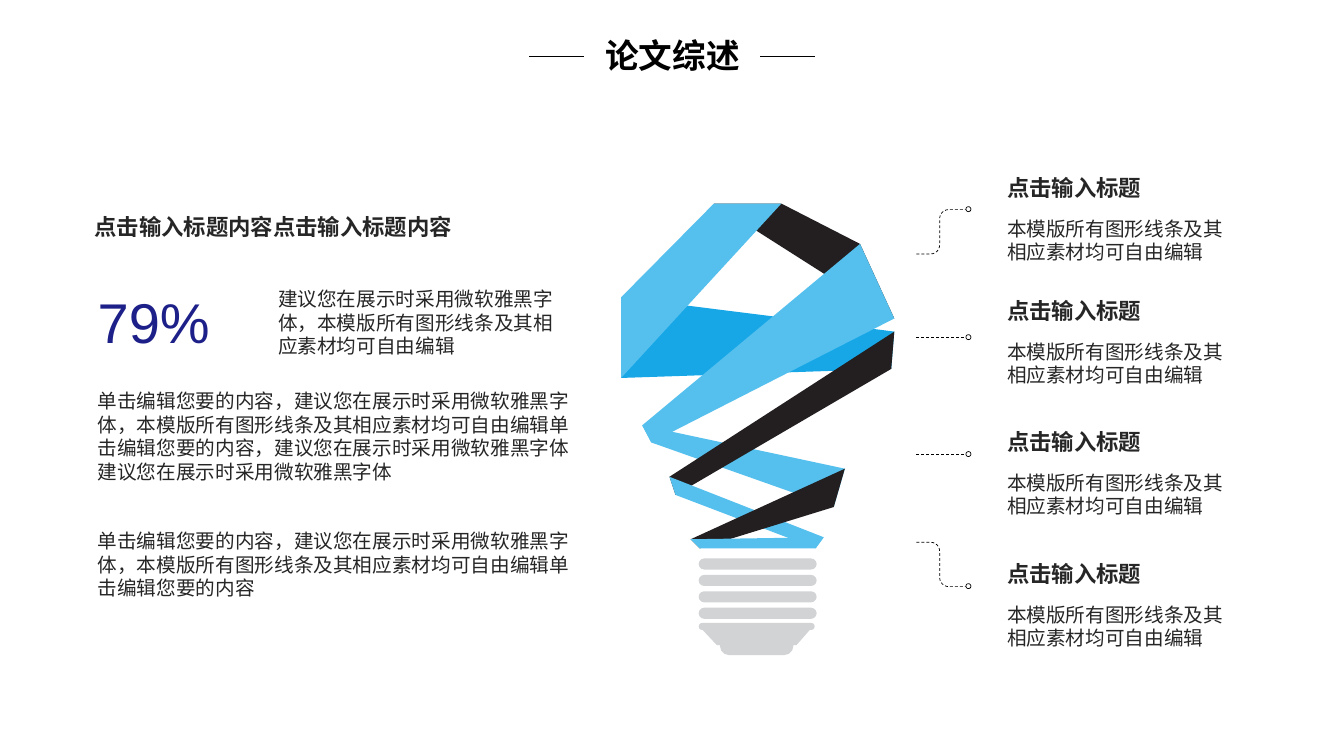
import math

import pptx
import pptx.dml.color
import pptx.enum.dml
import pptx.enum.shapes
import pptx.enum.text
import pptx.oxml.ns
import pptx.oxml.xmlchemy
import pptx.util

Inches = pptx.util.Inches
RGBColor = pptx.dml.color.RGBColor
SHAPE = pptx.enum.shapes.MSO_SHAPE
BLACK = RGBColor(0x00, 0x00, 0x00)
WHITE = RGBColor(0xFF, 0xFF, 0xFF)
TEXT = RGBColor(0x26, 0x26, 0x26)
NAVY = RGBColor(0x1D, 0x20, 0x88)
GREY = RGBColor(0xD1, 0xD3, 0xD4)
INK = RGBColor(0x23, 0x1F, 0x20)
SKY = RGBColor(0x55, 0xC0, 0xEE)
BLUE = RGBColor(0x17, 0xA7, 0xE7)

# Ribbon bands of the bulb, from back to front, in inches from its corner
BANDS = [
    (INK, [(0.92, 0), (2.71, 1.14), (2.37, 0.4), (1.59, 0)]),
    (BLUE, [(0, 0.93), (2.71, 1.27), (2.68, 1.64), (0, 1.73)]),
    (SKY, [(2.37, 0.4), (0.21, 2.2), (0.3, 2.37), (2.71, 1.14)]),
    (SKY, [(0.21, 2.2), (2.22, 2.63), (2.11, 3.01), (0.3, 2.37)]),
    (INK, [(2.71, 1.27), (0.48, 2.71), (0.54, 2.89), (2.68, 1.64)]),
    (SKY, [(0.48, 2.71), (2.01, 3.31), (1.93, 3.42), (0.54, 2.89)]),
    (SKY, [(0.92, 0), (0, 0.93), (0, 1.73), (1.59, 0)]),
    (INK, [(0.78, 3.42), (2.11, 3.01), (2.22, 2.63), (0.69, 3.33)]),
    (SKY, [(0.69, 3.33), (2.01, 3.31), (1.93, 3.42), (0.78, 3.42)]),
]
FUNNEL = [(0.8, 4.22), (1.88, 4.22), (1.74, 4.38), (0.95, 4.38)]

LONG = "单击编辑您要的内容，建议您在展示时采用微软雅黑字体，本模版所有图形线条及其相应素材均可自由编辑单击编辑您要的内容"
HINT = "建议您在展示时采用微软雅黑字体"
FREE = "本模版所有图形线条及其相应素材均可自由编辑"
HEAD = "点击输入标题"


def write(frame, text, size=14, color=TEXT, bold=False, font="Arial",
          align=pptx.enum.text.PP_ALIGN.LEFT, wrap=True):
    frame.word_wrap = wrap
    frame.vertical_anchor = pptx.enum.text.MSO_ANCHOR.TOP
    par = frame.paragraphs[0]
    par.alignment = align
    run = par.add_run()
    run.text = text
    run.font.size = pptx.util.Pt(size)
    run.font.bold = bold
    run.font.name = font
    run.font.color.rgb = color
    face = pptx.oxml.xmlchemy.OxmlElement("a:ea")
    face.set("typeface", font)
    run.font._element.find(pptx.oxml.ns.qn("a:latin")).addnext(face)


def label(slide, x, y, w, h, text, **style):
    box = slide.shapes.add_textbox(Inches(x), Inches(y), Inches(w), Inches(h))
    write(box.text_frame, text, **style)


def paint(shape, fill=None, line=None):
    shape.shadow.inherit = False
    if fill is None:
        shape.fill.background()
    else:
        shape.fill.solid()
        shape.fill.fore_color.rgb = fill
    if line is None:
        shape.line.fill.background()
    else:
        shape.line.color.rgb = line
        shape.line.width = pptx.util.Pt(0.5)
    return shape


def trace(slide, x, y, points, close=True):
    spots = [(Inches(x + px), Inches(y + py)) for px, py in points]
    path = slide.shapes.build_freeform(*spots[0], scale=1.0)
    path.add_line_segments(spots[1:], close=close)
    return path.convert_to_shape()


def preset(slide, kind, x, y, w, h):
    return slide.shapes.add_shape(
        kind, Inches(x), Inches(y), Inches(w), Inches(h))


def rule(slide, x, y, w, width):
    line = slide.shapes.add_connector(
        pptx.enum.shapes.MSO_CONNECTOR.STRAIGHT,
        Inches(x), Inches(y), Inches(x + w), Inches(y))
    line.line.color.rgb = BLACK
    line.line.width = pptx.util.Pt(width)
    line._element.spPr.append(
        pptx.oxml.xmlchemy.OxmlElement("a:effectLst"))
    return line


def header(slide, x, y, w, h):
    title = slide.shapes.title
    title.left, title.top = Inches(x), Inches(y)
    title.width, title.height = Inches(w), Inches(h)
    write(title.text_frame, "论文综述", size=24, color=BLACK, bold=True,
          font="Noto Sans CJK SC", align=pptx.enum.text.PP_ALIGN.CENTER)
    for dx in (0.69, 2.98):
        rule(slide, x + dx, y + 0.26, 0.54, 1)


def intro(slide, x, y):
    label(slide, x, y, 4.2, 0.37, HEAD + "内容" + HEAD + "内容",
          size=16, bold=True, wrap=False)
    label(slide, x + 0.03, y + 0.73, 1.88, 0.77, "79%", size=40, color=NAVY)
    label(slide, x + 1.82, y + 0.73, 3, 0.81, HINT + "，" + FREE)
    label(slide, x + 0.03, y + 1.74, 5, 1.04, LONG + "，" + HINT + HINT)
    label(slide, x + 0.03, y + 3.13, 5, 0.81, LONG)


def bulb(slide, x, y):
    # Screw base: foot, funnel and threads
    bars = [(0.98, 4.29, 0.73, 0.19), (0.77, 4.16, 1.15, 0.07)]
    bars += [(0.77, 3.52 + 0.163 * i, 1.17, 0.11) for i in range(4)]
    for bx, by, w, h in bars:
        bar = preset(slide, SHAPE.ROUNDED_RECTANGLE, x + bx, y + by, w, h)
        bar.adjustments[0] = 0.5
        paint(bar, GREY)
    paint(trace(slide, x, y, FUNNEL), GREY)
    # Folded ribbon
    for color, points in BANDS:
        paint(trace(slide, x, y, points), color)


def leader(slide, x, y, end):
    if y == end:
        line = rule(slide, x, y, 0.5, 0.5)
    else:
        # Two quarter turns around the upright part
        side, r, mid = math.copysign(1, end - y), 0.09, 0.23
        turn = [math.radians(a) for a in range(0, 91, 15)]
        points = [(0, 0)]
        points += [(mid - r + r * math.sin(a), side * r * (1 - math.cos(a)))
                   for a in turn]
        points += [(mid + r - r * math.cos(a),
                    end - y - side * r * (1 - math.sin(a))) for a in turn]
        points += [(0.5, end - y)]
        line = paint(trace(slide, x, y, points, close=False), line=BLACK)
    line.line.dash_style = pptx.enum.dml.MSO_LINE.DASH
    dot = preset(slide, SHAPE.OVAL, x + 0.49, end - 0.03, 0.05, 0.05)
    paint(dot, WHITE, BLACK)


def note(slide, x, y):
    label(slide, x, y, 2.55, 0.39, HEAD, size=16, bold=True)
    label(slide, x, y + 0.42, 2.37, 0.57, FREE)


def main():
    deck = pptx.Presentation()
    deck.slide_width, deck.slide_height = Inches(13.33), Inches(7.5)
    slide = deck.slides.add_slide(deck.slide_layouts[5])
    header(slide, 4.56, 0.3, 4.22, 0.5)
    intro(slide, 0.84, 2.07)
    bulb(slide, 6.16, 2.02)
    # Callouts: note top, leader start and leader end
    for top, start, end in [(1.68, 2.52, 2.08), (2.9, 3.35, 3.35),
                            (4.2, 4.51, 4.51), (5.51, 5.38, 5.82)]:
        leader(slide, 9.09, start, end)
        note(slide, 9.89, top)
    deck.save("out.pptx")


if __name__ == "__main__":
    main()
